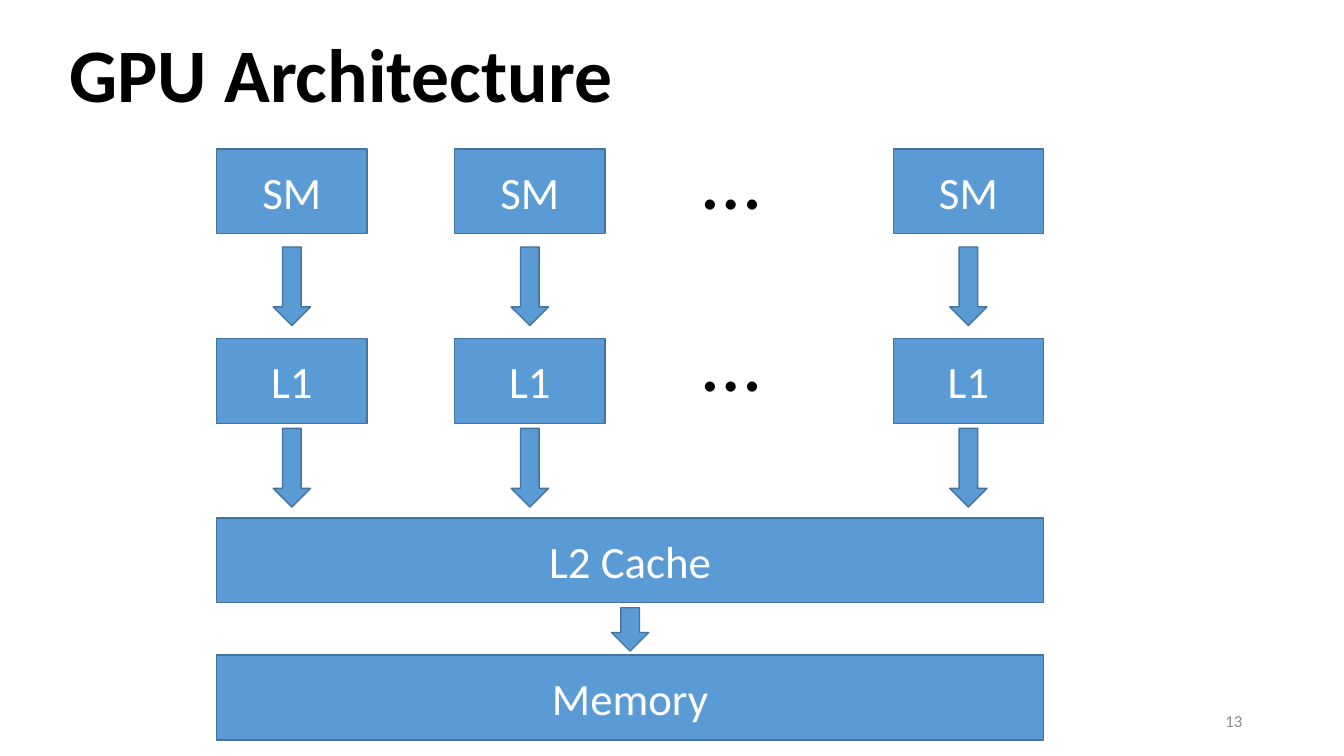
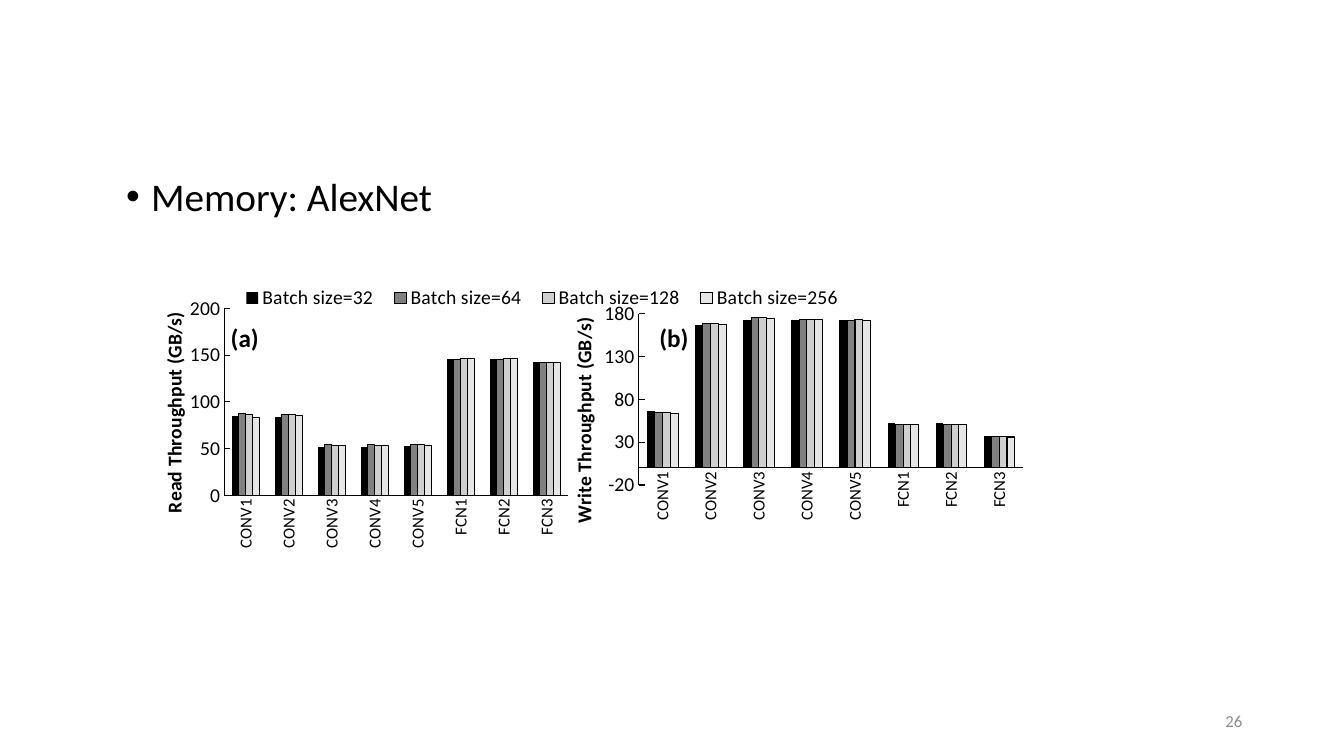
from dataclasses import dataclass

from pptx import Presentation
from pptx.chart.data import CategoryChartData
from pptx.dml.color import RGBColor as Rgb
from pptx.enum.chart import XL_CHART_TYPE as ChartType
from pptx.enum.chart import XL_LEGEND_POSITION as LegendPosition
from pptx.enum.chart import XL_TICK_MARK as TickMark
from pptx.enum.shapes import MSO_SHAPE as Preset
from pptx.enum.text import MSO_ANCHOR as Anchor
from pptx.enum.text import MSO_AUTO_SIZE as AutoSize
from pptx.enum.text import PP_ALIGN as Align
from pptx.oxml import parse_xml
from pptx.oxml.ns import nsdecls, qn
from pptx.util import Inches, Pt


@dataclass(frozen=True)
class Theme:
    """Colours, font and type sizes shared by the slides."""

    face: str = "Calibri"
    ink: Rgb = Rgb(0, 0, 0)
    paper: Rgb = Rgb(255, 255, 255)
    block: Rgb = Rgb(0x5B, 0x9B, 0xD5)
    edge: Rgb = Rgb(0x43, 0x73, 0x9E)
    muted: Rgb = Rgb(0x8C, 0x8C, 0x8C)
    bars: tuple = ("000000", "808080", "D0CECE", "E7E6E6")
    title: int = 54
    dots: int = 60
    label: int = 32
    body: int = 28
    panel: int = 18
    axis: int = 14
    category: int = 12
    number: int = 12
    chart: int = 10


THEME = Theme()
LAYERS = ("CONV1", "CONV2", "CONV3", "CONV4", "CONV5", "FCN1", "FCN2", "FCN3")
BATCHES = (32, 64, 128, 256)
READ = (
    (85, 84, 52, 52, 53, 146, 146, 142),
    (87, 86, 54, 54, 54, 145, 145, 142),
    (86, 86, 53, 53, 54, 146, 146, 142),
    (83, 85, 53, 53, 53, 146, 146, 142),
)
WRITE = (
    (66, 167, 173, 173, 172, 52, 52, 37),
    (65, 168, 175, 173, 172, 51, 51, 37),
    (65, 168, 175, 173, 173, 51, 51, 37),
    (63, 167, 174, 173, 172, 51, 51, 36),
)


def style(font, size, color=THEME.ink, bold=False):
    """Apply the shared face with a size, colour and weight."""
    font.name = THEME.face
    font.size = Pt(size)
    font.bold = bold
    font.color.rgb = color


def write(frame, text, size, color=THEME.ink, bold=False, align=Align.LEFT):
    """Put one styled run into the first paragraph of a frame."""
    paragraph = frame.paragraphs[0]
    paragraph.alignment = align
    run = paragraph.add_run()
    run.text = text
    style(run.font, size, color, bold)
    return paragraph


def place(shape, box):
    """Move a shape to a box given in inches."""
    shape.left, shape.top, shape.width, shape.height = map(Inches, box)


def add_label(slide, box, text, size, wrap=True, anchor=Anchor.TOP, **look):
    """Add a text box holding one run."""
    frame = slide.shapes.add_textbox(*map(Inches, box)).text_frame
    frame.word_wrap = wrap
    frame.vertical_anchor = anchor
    write(frame, text, size, **look)


def add_number(slide, number):
    """Add the page number in the lower right corner."""
    add_label(slide, (9.42, 6.95, 3, 0.4), number, THEME.number,
              anchor=Anchor.MIDDLE, color=THEME.muted, align=Align.RIGHT)


def set_title(slide, text):
    """Fill the title placeholder."""
    title = slide.shapes.title
    place(title, (0.59, 0.36, 9.7, 0.82))
    title.text_frame.auto_size = AutoSize.NONE
    title.text_frame.vertical_anchor = Anchor.MIDDLE
    write(title.text_frame, text, THEME.title, bold=True).line_spacing = 0.9


def add_block(slide, box, text="", preset=Preset.RECTANGLE):
    """Add a filled and outlined shape with an optional centred label."""
    block = slide.shapes.add_shape(preset, *map(Inches, box))
    block.shadow.inherit = False
    block.fill.solid()
    block.fill.fore_color.rgb = THEME.block
    block.line.color.rgb = THEME.edge
    block.line.width = Pt(1)
    if text:
        block.text_frame.vertical_anchor = Anchor.MIDDLE
        write(block.text_frame, text, THEME.label, THEME.paper,
              align=Align.CENTER)


def add_arrow(slide, center, top, height):
    """Add a down arrow centred on a horizontal position."""
    width = 0.37
    add_block(slide, (center - width / 2, top, width, height),
              preset=Preset.DOWN_ARROW)


def add_hierarchy(slide, box):
    """Draw the processors, their caches and the shared memory levels."""
    left, top, width, height = box
    unit_width, level_height = 1.49, 0.84
    columns = (left, left + 2.36, left + width - unit_width)
    for unit, offset in (("SM", 0), ("L1", 1.88)):
        for column in columns:
            add_block(slide, (column, top + offset, unit_width, level_height), unit)
    for arrow_offset, dots_offset in ((0.97, -0.28), (2.77, 1.52)):
        for column in columns:
            add_arrow(slide, column + unit_width / 2, top + arrow_offset, 0.78)
        add_label(slide, (left + 4.72, top + dots_offset, 1.7, 1.11), "…", THEME.dots)
    memory_top = top + height - level_height
    for level, level_top in (("L2 Cache", top + 3.66), ("Memory", memory_top)):
        add_block(slide, (left, level_top, width, level_height), level)
    add_arrow(slide, left + width / 2, memory_top - 0.47, 0.43)


def set_bullet(slide, text):
    """Fill the body placeholder with one bulleted line."""
    body = slide.placeholders[1]
    place(body, (1.15, 1.71, 11.88, 0.86))
    body.text_frame.auto_size = AutoSize.NONE
    paragraph = body.text_frame.paragraphs[0]
    properties = paragraph._p.get_or_add_pPr()
    properties.set("marL", str(Inches(0.25)))
    properties.set("indent", str(Inches(-0.25)))
    properties.append(parse_xml(f'<a:buChar {nsdecls("a")} char="•"/>'))
    paragraph.line_spacing = 0.9
    paragraph.space_before = Pt(0)
    write(body.text_frame, text, THEME.body)


def manual_layout(parts, inner=False):
    """Return a chart layout element for x, y and optionally w, h."""
    target = '<c:layoutTarget val="inner"/>' if inner else ""
    modes = '<c:xMode val="edge"/><c:yMode val="edge"/>'
    sizes = "".join(f'<c:{key} val="{part}"/>' for key, part in zip("xywh", parts))
    return parse_xml(f'<c:layout {nsdecls("c")}><c:manualLayout>{target}{modes}'
                     f"{sizes}</c:manualLayout></c:layout>")


def set_layout(parent, index, parts, inner=False):
    """Replace the layout of a chart part at a child index."""
    for old in parent.findall(qn("c:layout")):
        parent.remove(old)
    parent.insert(index, manual_layout(parts, inner))


def clear_background(chart):
    """Make the chart area and the plot area see-through."""
    area = chart.element.find(qn("c:chart"))
    blank = (f'<c:spPr {nsdecls("c", "a")}><a:noFill/>'
             "<a:ln><a:noFill/></a:ln></c:spPr>")
    area.addnext(parse_xml(blank))
    area.find(qn("c:plotArea")).append(parse_xml(blank))


def style_axis(axis, size, tick):
    """Give an axis a thin black line and plain labels."""
    axis.has_major_gridlines = False
    axis.major_tick_mark = tick
    axis.minor_tick_mark = TickMark.NONE
    axis.format.line.color.rgb = THEME.ink
    axis.format.line.width = Pt(0.75)
    style(axis.tick_labels.font, size)


def style_bars(plot):
    """Shade the series from black to light grey."""
    plot.gap_width = 219
    plot.overlap = 0
    plot.vary_by_categories = False
    for index, (series, shade) in enumerate(zip(plot.series, THEME.bars)):
        series.invert_if_negative = False
        series.format.fill.solid()
        series.format.fill.fore_color.rgb = Rgb.from_string(shade)
        if index:
            series.format.line.color.rgb = THEME.ink
            series.format.line.width = Pt(0.75)
        else:
            series.format.line.fill.background()


def add_legend(chart, parts):
    """Add the batch legend above the plot."""
    chart.has_legend = True
    chart.legend.position = LegendPosition.TOP
    chart.legend.include_in_layout = False
    style(chart.legend.font, THEME.axis)
    set_layout(chart.element.xpath("c:chart/c:legend")[0], 1, parts)


def add_throughput(slide, box, heading, rows, scale, plot_parts, title_parts):
    """Add a clustered column chart of throughput by layer."""
    data = CategoryChartData()
    data.categories = LAYERS
    for batch, row in zip(BATCHES, rows):
        data.add_series(f"Batch size={batch}", row)
    chart = slide.shapes.add_chart(
        ChartType.COLUMN_CLUSTERED, *map(Inches, box), data).chart
    chart.has_title = False
    chart.has_legend = False
    style(chart.font, THEME.chart)
    style_bars(chart.plots[0])
    style_axis(chart.category_axis, THEME.category, TickMark.NONE)
    values = chart.value_axis
    style_axis(values, THEME.axis, TickMark.INSIDE)
    values.minimum_scale, values.maximum_scale = scale
    values.major_unit = 50
    write(values.axis_title.text_frame, heading, THEME.axis, bold=True,
          align=Align.CENTER)
    plot_area = chart.element.xpath("c:chart/c:plotArea")[0]
    for turned in plot_area.xpath(
            "c:catAx/c:txPr/a:bodyPr | c:valAx/c:title/c:tx/c:rich/a:bodyPr"):
        turned.set("rot", "-5400000")
        turned.set("vert", "horz")
    set_layout(plot_area, 0, plot_parts, inner=True)
    set_layout(plot_area.xpath("c:valAx/c:title")[0], 1, title_parts)
    clear_background(chart)
    return chart


def build_architecture(deck):
    """Build the architecture slide."""
    slide = deck.slides.add_slide(deck.slide_layouts[5])
    set_title(slide, "GPU Architecture")
    add_hierarchy(slide, (2.15, 1.48, 8.2, 5.86))
    add_number(slide, "13")


def build_memory(deck):
    """Build the memory throughput slide."""
    slide = deck.slides.add_slide(deck.slide_layouts[1])
    heading = slide.shapes.title.element
    heading.getparent().remove(heading)
    set_bullet(slide, "Memory: AlexNet")
    read = add_throughput(
        slide, (1.26, 2.4, 7.42, 4.12), "Read Throughput (GB/s)", READ,
        (0, 200), (0.13, 0.16, 0.46, 0.45), (0.04, 0.16))
    add_legend(read, (0.14, 0.1, 0.83, 0.07))
    add_throughput(
        slide, (5.38, 2.53, 7.95, 4.15), "Write Throughput (GB/s)", WRITE,
        (-20, 180), (0.12, 0.14, 0.48, 0.41), (0.03, 0.14))
    for panel, left in (("(a)", 2.19), ("(b)", 6.44)):
        add_label(slide, (left, 3.15, 0.49, 0.4), panel, THEME.panel,
                  wrap=False, bold=True)
    add_number(slide, "26")


def main():
    """Build and save the deck."""
    deck = Presentation()
    deck.slide_width, deck.slide_height = Inches(13.33), Inches(7.5)
    build_architecture(deck)
    build_memory(deck)
    deck.save("out.pptx")


if __name__ == "__main__":
    main()
